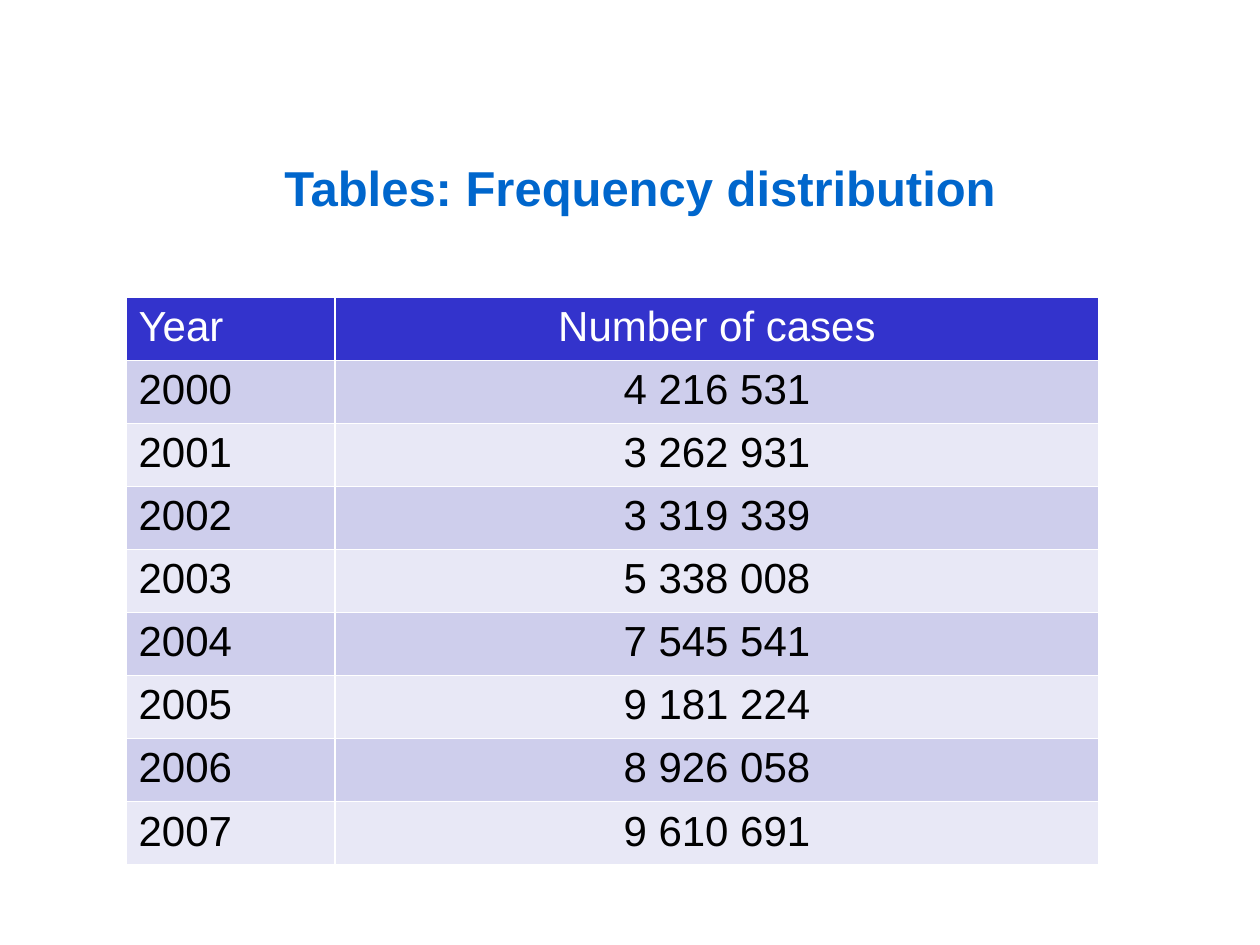
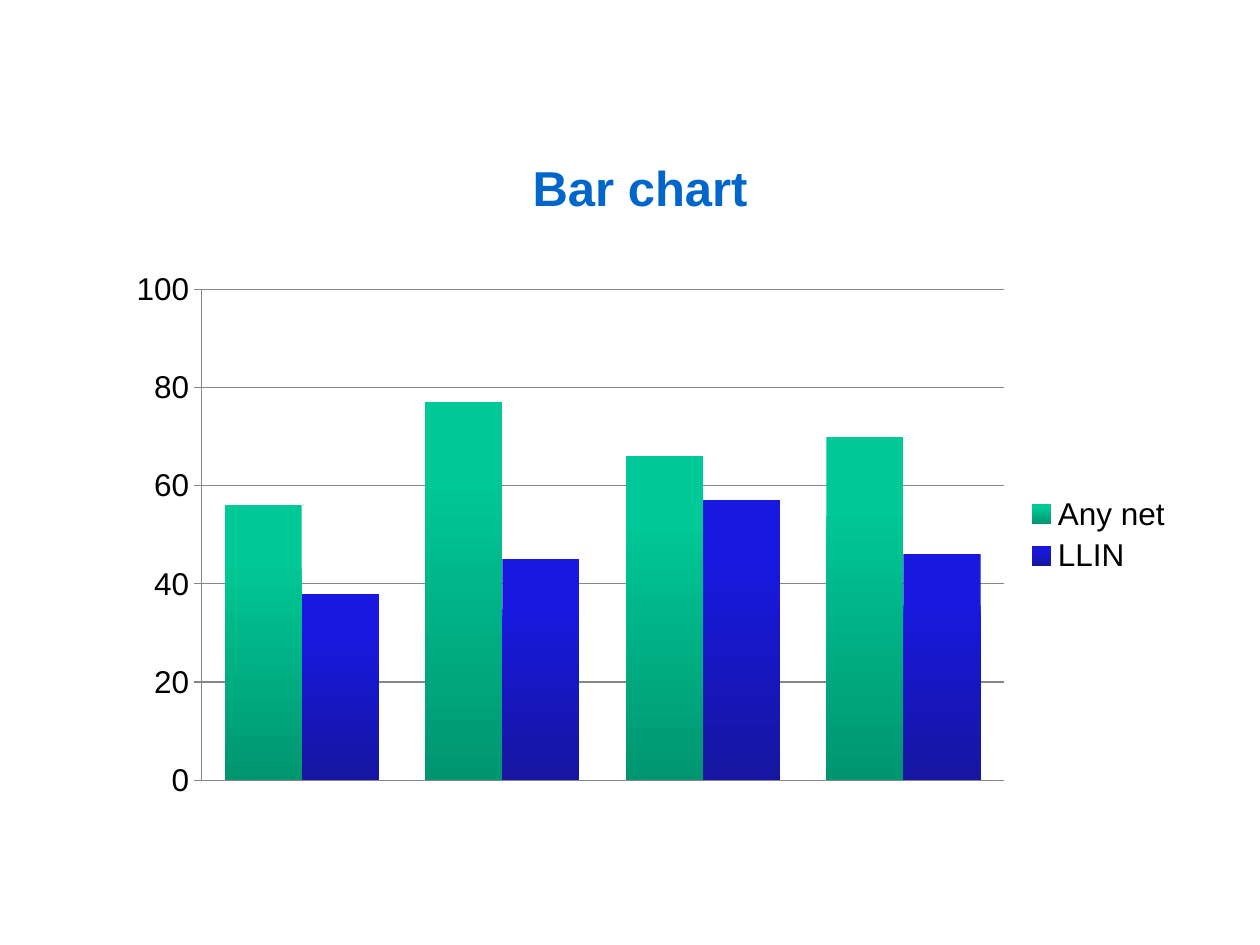
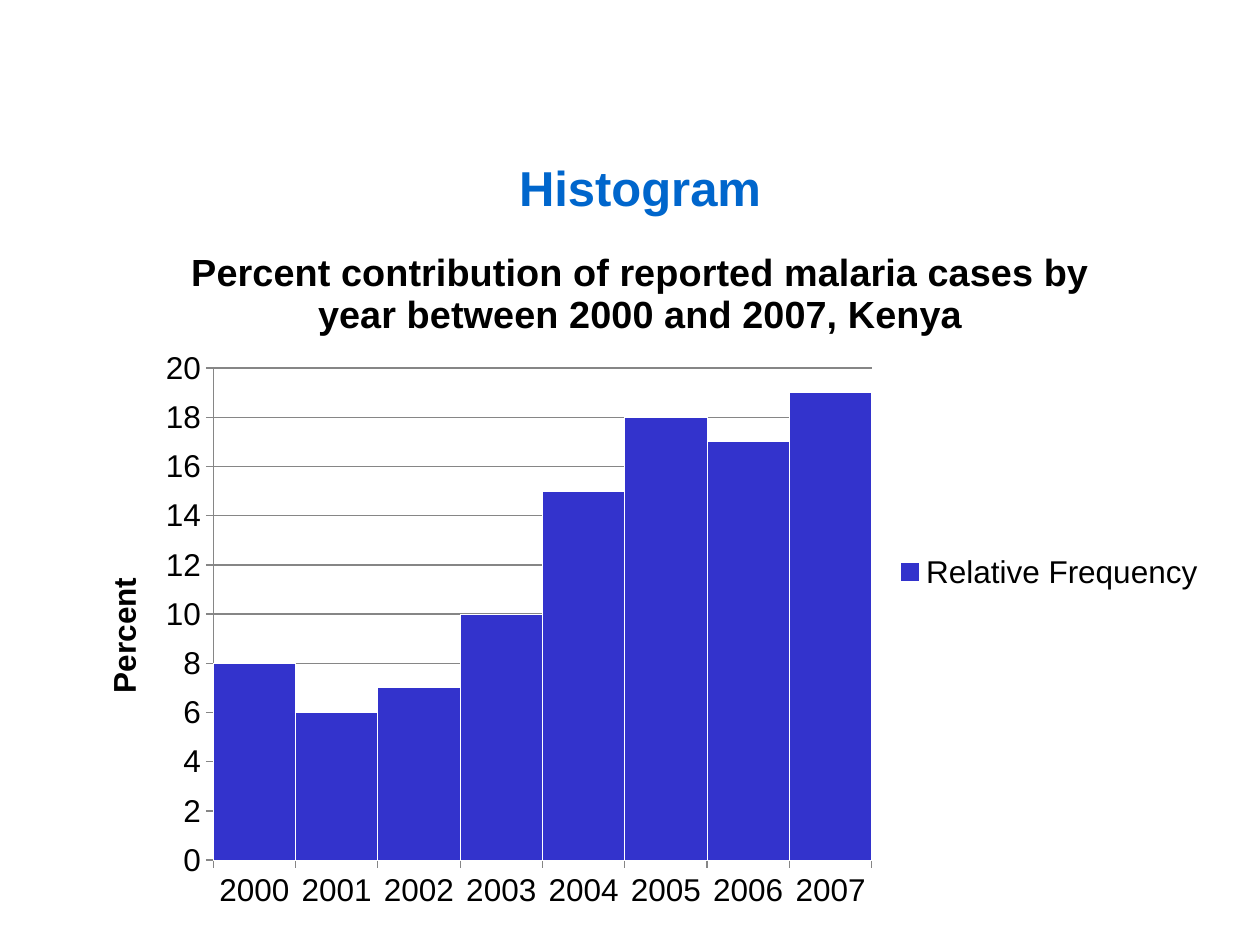
from lxml import etree
from pptx import Presentation
from pptx.chart.data import CategoryChartData
from pptx.dml.color import RGBColor
from pptx.enum.chart import XL_CHART_TYPE, XL_LEGEND_POSITION, XL_TICK_MARK
from pptx.enum.text import MSO_ANCHOR, PP_ALIGN
from pptx.oxml.ns import qn
from pptx.util import Inches, Pt

COLUMN_CLUSTERED = XL_CHART_TYPE.COLUMN_CLUSTERED
LEGEND_RIGHT = XL_LEGEND_POSITION.RIGHT
TICK_OUTSIDE = XL_TICK_MARK.OUTSIDE
TOP = MSO_ANCHOR.TOP
CENTER, LEFT = PP_ALIGN.CENTER, PP_ALIGN.LEFT

FONT = "Arial"
WHITE = RGBColor(0xFF, 0xFF, 0xFF)
BLACK = RGBColor(0x00, 0x00, 0x00)
TITLE_BLUE = RGBColor(0x00, 0x66, 0xCC)
INDIGO = RGBColor(0x33, 0x33, 0xCC)
BAND_DARK = RGBColor(0xCE, 0xCE, 0xEC)
BAND_LIGHT = RGBColor(0xE8, 0xE8, 0xF6)
AXIS_GREY = RGBColor(0x86, 0x86, 0x86)
GREEN_GRADIENT = (RGBColor(0x00, 0xC8, 0x96), RGBColor(0x00, 0x96, 0x70))
BLUE_GRADIENT = (RGBColor(0x18, 0x18, 0xE0), RGBColor(0x16, 0x16, 0xA0))

CASES_HEADER = ("Year", "Number of cases")
CASES_BY_YEAR = [
    ("2000", "4 216 531"),
    ("2001", "3 262 931"),
    ("2002", "3 319 339"),
    ("2003", "5 338 008"),
    ("2004", "7 545 541"),
    ("2005", "9 181 224"),
    ("2006", "8 926 058"),
    ("2007", "9 610 691"),
]
COLUMN_WIDTHS = (1.66, 6.06)
ROW_HEIGHT = 0.47

NET_CATEGORIES = ["1", "2", "3", "4"]
NET_USE = {"Any net": (56, 77, 66, 70), "LLIN": (38, 45, 57, 46)}

HISTOGRAM_TITLE = (
    "Percent contribution of reported malaria cases by year between 2000 and 2007, Kenya"
)
YEARS = [year for year, cases in CASES_BY_YEAR]
YEAR_SHARES = {"Relative Frequency": (8, 6, 7, 10, 15, 18, 17, 19)}


def add_titled_slide(presentation, title):
    slide = presentation.slides.add_slide(presentation.slide_layouts[6])
    box = slide.shapes.add_textbox(Inches(0.83), Inches(1.17), Inches(8.5), Inches(0.5))
    frame = box.text_frame
    frame.word_wrap = True
    frame.vertical_anchor = TOP
    frame.margin_top, frame.margin_bottom = Inches(0.08), 0
    paragraph = frame.paragraphs[0]
    paragraph.text = title
    paragraph.alignment = CENTER
    style_font(paragraph.font, 28, TITLE_BLUE, bold=True)
    return slide


def style_font(font, size, color, bold=False):
    font.name, font.size, font.bold = FONT, Pt(size), bold
    font.color.rgb = color


def add_cell_borders(cell):
    properties = cell._tc.get_or_add_tcPr()
    for position, side in enumerate(("lnL", "lnR", "lnT", "lnB")):
        line = etree.Element(qn(f"a:{side}"), w=str(Pt(1)))
        fill = etree.SubElement(line, qn("a:solidFill"))
        etree.SubElement(fill, qn("a:srgbClr"), val=str(WHITE))
        properties.insert(position, line)


def add_cases_table(slide):
    rows = [CASES_HEADER] + CASES_BY_YEAR
    table = slide.shapes.add_table(
        len(rows), len(COLUMN_WIDTHS), Inches(1), Inches(2.36),
        Inches(sum(COLUMN_WIDTHS)), Inches(ROW_HEIGHT * len(rows)),
    ).table
    for column, width in zip(table.columns, COLUMN_WIDTHS):
        column.width = Inches(width)
    for row_index, values in enumerate(rows):
        if row_index == 0:
            fill_color, text_color = INDIGO, WHITE
        else:
            fill_color = BAND_DARK if row_index % 2 else BAND_LIGHT
            text_color = BLACK
        for column_index, (value, alignment) in enumerate(zip(values, (LEFT, CENTER))):
            cell = table.cell(row_index, column_index)
            cell.fill.solid()
            cell.fill.fore_color.rgb = fill_color
            add_cell_borders(cell)
            paragraph = cell.text_frame.paragraphs[0]
            paragraph.text = value
            paragraph.alignment = alignment
            style_font(paragraph.font, 24, text_color)


def set_layout(element, position, **fractions):
    """Place a chart part by fractions of the chart area."""
    for old_layout in element.findall(qn("c:layout")):
        element.remove(old_layout)
    layout = etree.Element(qn("c:layout"))
    manual = etree.SubElement(layout, qn("c:manualLayout"))
    if "w" in fractions:
        etree.SubElement(manual, qn("c:layoutTarget"), val="inner")
    for axis in "xy":
        etree.SubElement(manual, qn(f"c:{axis}Mode"), val="edge")
    for name, value in fractions.items():
        etree.SubElement(manual, qn(f"c:{name}"), val=str(value))
    element.insert(position, layout)


def add_column_chart(slide, place, categories, series, gap, maximum, major, plot_area):
    data = CategoryChartData()
    data.categories = categories
    for name, values in series.items():
        data.add_series(name, values)
    chart = slide.shapes.add_chart(COLUMN_CLUSTERED, *map(Inches, place), data).chart
    style_font(chart.font, 18, BLACK)
    chart.has_title = False
    chart.has_legend = True
    chart.legend.position = LEGEND_RIGHT
    chart.legend.include_in_layout = False
    plot = chart.plots[0]
    plot.gap_width, plot.overlap = gap, 0
    plot.vary_by_categories = False
    value_axis = chart.value_axis
    value_axis.minimum_scale, value_axis.maximum_scale = 0, maximum
    value_axis.major_unit = major
    value_axis.has_major_gridlines = True
    for axis in (value_axis, chart.category_axis):
        axis.major_tick_mark = TICK_OUTSIDE
        axis.format.line.color.rgb = AXIS_GREY
    value_axis.major_gridlines.format.line.color.rgb = AXIS_GREY
    set_layout(chart._chartSpace.chart.plotArea, 0, **plot_area)
    return chart


def add_net_chart(slide):
    chart = add_column_chart(
        slide, (0.92, 2.08, 8.49, 4.33), NET_CATEGORIES, NET_USE, gap=60,
        maximum=100, major=20, plot_area=dict(x=0.08, y=0.05, w=0.75, h=0.9),
    )
    chart.category_axis.visible = False
    for series, colors in zip(chart.plots[0].series, (GREEN_GRADIENT, BLUE_GRADIENT)):
        fill = series.format.fill
        fill.gradient()
        fill.gradient_angle = 270
        for stop, color, position in zip(fill.gradient_stops, colors, (0.2, 1)):
            stop.color.rgb = color
            stop.position = position


def add_histogram(slide):
    chart = add_column_chart(
        slide, (0.5, 1.75, 9.17, 5.58), YEARS, YEAR_SHARES, gap=0,
        maximum=20, major=2, plot_area=dict(x=0.13, y=0.21, w=0.57, h=0.7),
    )
    series_format = chart.plots[0].series[0].format
    series_format.fill.solid()
    series_format.fill.fore_color.rgb = INDIGO
    series_format.line.color.rgb = WHITE
    axis_title = chart.value_axis.axis_title
    for title, text, size in (
        (chart.chart_title, HISTOGRAM_TITLE, 21.6),
        (axis_title, "Percent", 18),
    ):
        paragraph = title.text_frame.paragraphs[0]
        paragraph.text = text
        style_font(paragraph.font, size, BLACK, bold=True)
    title_element = axis_title._element
    body = title_element.find(".//" + qn("a:bodyPr"))
    body.set("rot", "-5400000")
    body.set("vert", "horz")
    set_layout(title_element, 1, x=0.03, y=0.5)


def main():
    presentation = Presentation()
    presentation.slide_width, presentation.slide_height = Inches(10), Inches(7.5)
    for title, add_content in (
        ("Tables: Frequency distribution", add_cases_table),
        ("Bar chart", add_net_chart),
        ("Histogram", add_histogram),
    ):
        add_content(add_titled_slide(presentation, title))
    presentation.save("out.pptx")


if __name__ == "__main__":
    main()
